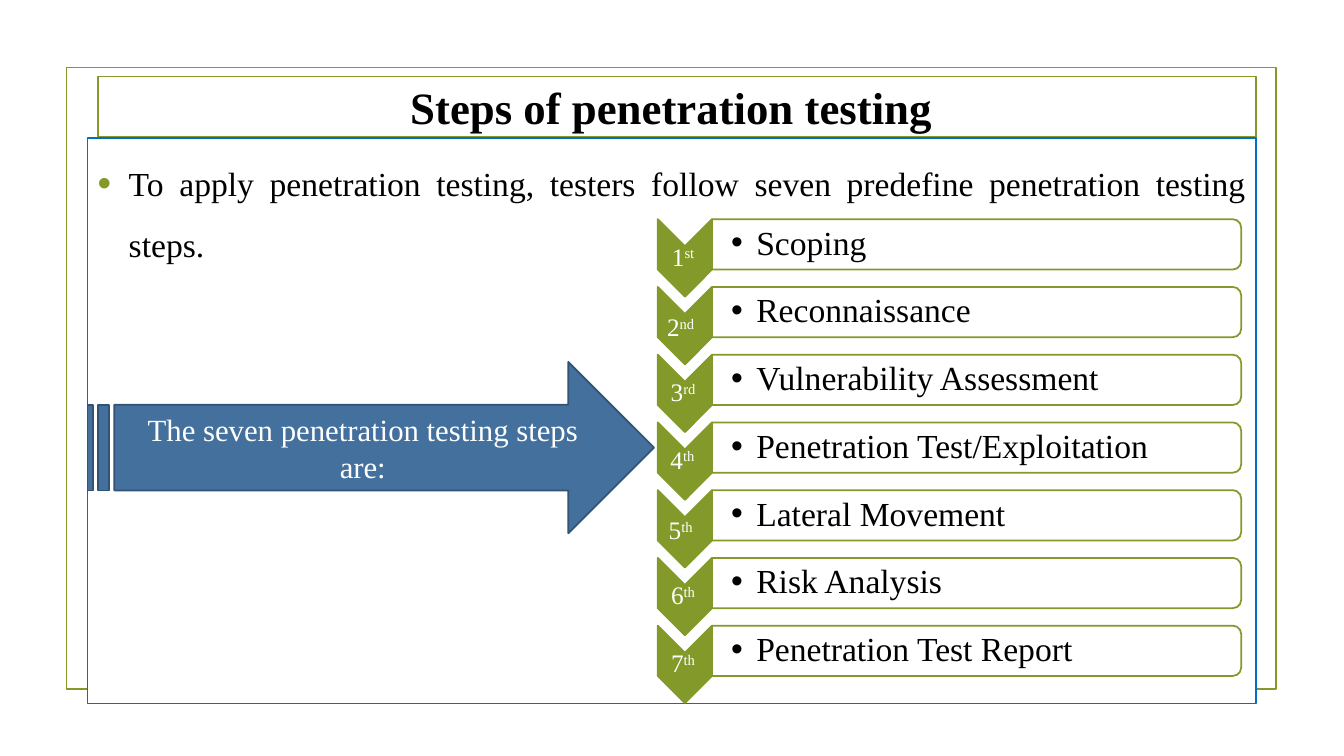
import pptx
import pptx.util
import pptx.dml.color
import pptx.enum.shapes
import pptx.enum.text
import pptx.oxml
import pptx.oxml.ns
import lxml.etree

Pt = pptx.util.Pt
Inches = pptx.util.Inches
SHAPE = pptx.enum.shapes.MSO_SHAPE
ALIGN = pptx.enum.text.PP_ALIGN
ANCHOR = pptx.enum.text.MSO_ANCHOR

WIDE, HIGH = Inches(13.333), Inches(7.5)
FACE = "Times New Roman"
HUES = {
    "olive": "83992A", "blue": "0070C0", "steel": "44709D",
    "navy": "325374", "white": "FFFFFF", "black": "000000",
}

# Boxes: left, top, width, height in percent of the slide
BOXES = {
    "frame": (4.95, 8.93, 90, 82.27),
    "title": (7.27, 10.13, 86.18, 8),
    "body": (6.52, 18.27, 86.93, 74.8),
    "steps": (48.94, 29, 43.41, 64),
    "arrow": (6.52, 47.87, 42.15, 22.67),
}

# Ordinal suffix, size of the space after it, step name
STEPS = [
    ("st", 18, "Scoping"),
    ("nd", 24, "Reconnaissance"),
    ("rd", 18, "Vulnerability Assessment"),
    ("th", 14, "Penetration Test/Exploitation"),
    ("th", 24, "Lateral Movement"),
    ("th", 18, "Risk Analysis"),
    ("th", 18, "Penetration Test Report"),
]


def tint(hue):
    return pptx.dml.color.RGBColor.from_string(HUES[hue])


def scale(box):
    x, y, w, h = box
    return [int(n) for n in (x * WIDE / 100, y * HIGH / 100,
                             w * WIDE / 100, h * HIGH / 100)]


def apply(target, values):
    for name, value in values.items():
        setattr(target, name, value)


def paint(shape, fill, line):
    if fill:
        shape.fill.solid()
        shape.fill.fore_color.rgb = tint(fill)
    else:
        shape.fill.background()
    shape.line.color.rgb = tint(line)
    shape.line.width = Pt(1.25)


def draw(slide, kind, box, fill, line, turn=0):
    """Place a shape so that it fills the box after its turn."""
    x, y, w, h = scale(box)
    if turn:
        x, y, w, h = x + (w - h) // 2, y + (h - w) // 2, h, w
    shape = slide.shapes.add_shape(kind, x, y, w, h)
    shape.rotation = turn
    shape.shadow.inherit = False
    paint(shape, fill, line)
    return shape


def write(shape, runs, hue, frame=None, para=None, bold=False):
    """Fill one paragraph with runs of (text, size, baseline)."""
    text = shape.text_frame
    apply(text, {"word_wrap": True, **(frame or {})})
    line = text.paragraphs[0]
    apply(line, para or {})
    for words, size, base in runs:
        run = line.add_run()
        run.text = words
        apply(run.font, {"name": FACE, "size": Pt(size), "bold": bold})
        run.font.color.rgb = tint(hue)
        if base:
            run._r.get_or_add_rPr().set("baseline", str(base * 1000))
    return line


def bullet(line, hue, size, indent):
    props = line._p.get_or_add_pPr()
    props.set("marL", str(Inches(indent)))
    props.set("indent", str(-Inches(indent)))
    space = pptx.oxml.ns.nsdecls("a")
    for part in (f'<a:buClr {space}><a:srgbClr val="{HUES[hue]}"/></a:buClr>',
                 f'<a:buSzPct {space} val="{size * 1000}"/>',
                 f'<a:buFont {space} typeface="Arial"/>',
                 f'<a:buChar {space} char="•"/>'):
        props.append(pptx.oxml.parse_xml(part))


def pad(left, rest):
    return {"margin_left": Inches(left), "margin_top": Inches(rest),
            "margin_right": Inches(rest), "margin_bottom": Inches(rest),
            "vertical_anchor": ANCHOR.MIDDLE}


def add_title(slide, box):
    title = slide.shapes.title
    apply(title, dict(zip(("left", "top", "width", "height"), scale(box))))
    paint(title, "white", "olive")
    write(title, [("Steps of penetration testing ", 32, 0)], "black",
          {"vertical_anchor": ANCHOR.MIDDLE}, {"alignment": ALIGN.CENTER}, True)


def add_body(slide, box):
    body = draw(slide, SHAPE.RECTANGLE, box, "white", "blue")
    words = ("To apply penetration testing, testers follow seven predefine "
             "penetration testing steps.")
    line = write(body, [(words, 24, 0)], "black",
                 {"vertical_anchor": ANCHOR.TOP},
                 {"alignment": ALIGN.JUSTIFY, "line_spacing": 1.5,
                  "space_before": Pt(4.8), "space_after": Pt(6)})
    bullet(line, "olive", 115, 0.31)


def add_steps(slide, box):
    x, y, w, h = box
    mark, tall, bar = w * 0.093, h * 0.16, h * 0.104
    pitch = (h - tall) / (len(STEPS) - 1)
    for i, (suffix, gap, name) in enumerate(STEPS):
        top = y + i * pitch
        # Chevron with its ordinal
        draw(slide, SHAPE.CHEVRON, (x, top, mark, tall), "olive", "olive", 90)
        label = slide.shapes.add_textbox(
            *scale((x, top + tall * 0.35, mark, tall * 0.3)))
        write(label, [(str(i + 1), 18, 0), (suffix, 18, 30),
                      (" ", gap, 30 if gap == 18 else 0)],
              "white", pad(0.01, 0.01),
              {"alignment": ALIGN.CENTER, "line_spacing": 0.9})
        # Bar with the step name
        place = (x + mark, top, w - mark, bar)
        draw(slide, SHAPE.ROUND_2_SAME_RECTANGLE, place, "white", "olive", 90)
        text = slide.shapes.add_textbox(*scale(place))
        line = write(text, [(name, 24, 0)], "black", pad(0.19, 0.02),
                     {"alignment": ALIGN.LEFT, "line_spacing": 0.9})
        bullet(line, "black", 100, 0.25)


def add_arrow(slide, box):
    arrow = draw(slide, SHAPE.STRIPED_RIGHT_ARROW, box, "steel", "navy")
    write(arrow, [("The seven penetration testing steps are:", 22, 0)], "white",
          {"vertical_anchor": ANCHOR.MIDDLE}, {"alignment": ALIGN.CENTER})


def main():
    deck = pptx.Presentation()
    apply(deck, {"slide_width": WIDE, "slide_height": HIGH})
    slide = deck.slides.add_slide(deck.slide_layouts[5])
    draw(slide, SHAPE.RECTANGLE, BOXES["frame"], None, "olive")
    add_title(slide, BOXES["title"])
    add_body(slide, BOXES["body"])
    add_steps(slide, BOXES["steps"])
    add_arrow(slide, BOXES["arrow"])
    deck.save("out.pptx")


if __name__ == "__main__":
    main()
